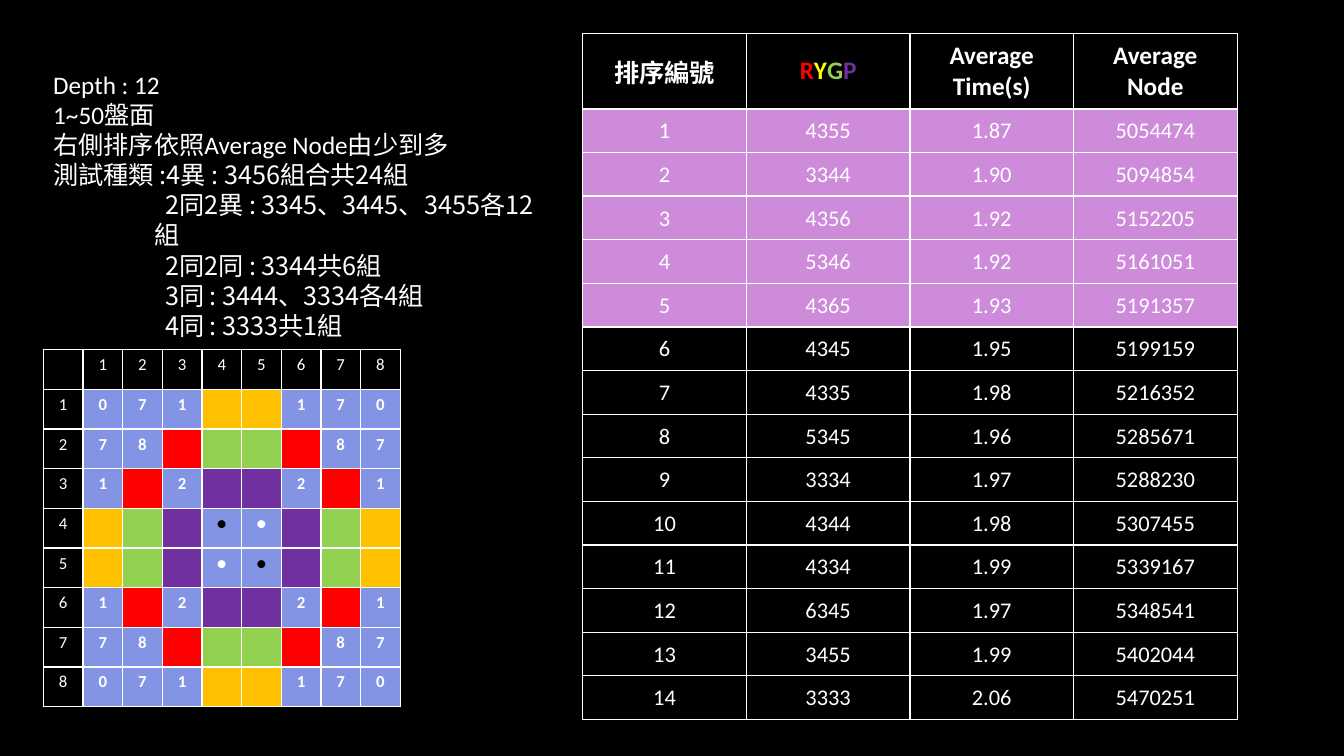
from lxml.etree import SubElement
from pptx import Presentation
from pptx.dml.color import RGBColor
from pptx.enum.text import MSO_ANCHOR, MSO_AUTO_SIZE, PP_ALIGN
from pptx.oxml.ns import qn
from pptx.util import Inches, Pt

BLACK = RGBColor(0, 0, 0)
WHITE = RGBColor(255, 255, 255)
RED = RGBColor(255, 0, 0)
YELLOW = RGBColor(255, 255, 0)
AMBER = RGBColor(0xFF, 0xC0, 0x00)
GREEN = RGBColor(0x92, 0xD0, 0x50)
PURPLE = RGBColor(0x70, 0x30, 0xA0)
BLUE = RGBColor(0x83, 0x94, 0xE4)
PINK = RGBColor(0xCD, 0x8B, 0xDA)

LATIN = "Calibri"
HAN = "Noto Sans CJK TC"

# Upper left quarter of the board; letters are zones, B a disc
QUARTER = ["071Y", "78RG", "1R2P", "YGPB"]
ZONES = {"Y": AMBER, "R": RED, "G": GREEN, "P": PURPLE}

HEADS = [
    [[("排序編號", WHITE)]],
    [[("R", RED), ("Y", YELLOW), ("G", GREEN), ("P", PURPLE)]],
    [[("Average", WHITE)], [("Time(s)", WHITE)]],
    [[("Average", WHITE)], [("Node", WHITE)]],
]
STATS = [
    ("4355", "1.87", "5054474"), ("3344", "1.90", "5094854"),
    ("4356", "1.92", "5152205"), ("5346", "1.92", "5161051"),
    ("4365", "1.93", "5191357"), ("4345", "1.95", "5199159"),
    ("4335", "1.98", "5216352"), ("5345", "1.96", "5285671"),
    ("3334", "1.97", "5288230"), ("4344", "1.98", "5307455"),
    ("4334", "1.99", "5339167"), ("6345", "1.97", "5348541"),
    ("3455", "1.99", "5402044"), ("3333", "2.06", "5470251"),
]
BEST = 5

NOTES = [
    "Depth : 12",
    "1~50盤面",
    "右側排序依照Average Node由少到多",
    "測試種類 :4異 : 3456組合共24組",
]
KINDS = [
    "2同2異 : 3345、3445、3455各12組",
    "2同2同 : 3344共6組",
    "3同 : 3444、3334各4組",
    "4同 : 3333共1組",
]


def apply(item, values):
    for name, value in values.items():
        setattr(item, name, value)


def add_run(para, text, size, color=WHITE, bold=False, face=LATIN):
    run = para.add_run()
    run.text = text
    apply(run.font, {"size": Pt(size), "bold": bold, "name": face})
    run.font.color.rgb = color
    SubElement(run.font._element, qn("a:ea"), typeface=HAN)


def add_grid(slide, rows, cols, left, top, width, height):
    frame = slide.shapes.add_table(rows, cols, Inches(left), Inches(top),
                                   Inches(width), Inches(height))
    apply(frame.table, {"first_row": False, "horz_banding": False})
    return frame.table


def draw_edge(cell, side, points):
    line = SubElement(cell._tc.get_or_add_tcPr(), qn("a:ln" + side),
                      w=str(Pt(points)))
    fill = SubElement(line, qn("a:solidFill"))
    SubElement(fill, qn("a:srgbClr"), val=str(WHITE))


def fill_cell(cell, lines, size, bold=False, fill=None, base=1, **values):
    """Each line is a list of (text, colour) pairs."""
    for side in "LRTB":
        draw_edge(cell, side, base if side == "B" else 1)
    if fill is None:
        cell.fill.background()
    else:
        cell.fill.solid()
        cell.fill.fore_color.rgb = fill
    apply(cell, values)
    frame = cell.text_frame
    for i, line in enumerate(lines):
        para = frame.add_paragraph() if i else frame.paragraphs[0]
        para.alignment = PP_ALIGN.CENTER
        for text, color in line:
            add_run(para, text, size, color, bold)
    if not lines:
        # Keeps an empty cell from growing its row
        end = frame.paragraphs[0]._p.get_or_add_endParaRPr()
        end.set("sz", str(size * 100))


def add_board(slide):
    grid = add_grid(slide, 9, 9, 0.43, 3.47, 3.54, 3.54)
    half = [row + row[::-1] for row in QUARTER]
    board = half + half[::-1]
    fill_cell(grid.cell(0, 0), [], 12)
    for i in range(1, 9):
        for spot in (grid.cell(0, i), grid.cell(i, 0)):
            fill_cell(spot, [[(str(i), WHITE)]], 12)
        for j, mark in enumerate(board[i - 1], 1):
            color = WHITE
            if mark == "B":
                mark = "●"
                color = BLACK if i == j else WHITE
            lines = [] if mark in ZONES else [[(mark, color)]]
            fill_cell(grid.cell(i, j), lines, 12, True, ZONES.get(mark, BLUE))


def add_stats(slide):
    grid = add_grid(slide, len(STATS) + 1, 4, 5.78, 0.33, 6.49, 6.81)
    grid.rows[0].height = Inches(0.75)
    for j, lines in enumerate(HEADS):
        fill_cell(grid.cell(0, j), lines, 18, True, base=2,
                  vertical_anchor=MSO_ANCHOR.MIDDLE)
    thin = Inches(0.01)
    form = {"vertical_anchor": MSO_ANCHOR.MIDDLE, "margin_left": thin,
            "margin_top": thin, "margin_right": thin, "margin_bottom": 0}
    for i, row in enumerate(STATS, 1):
        grid.rows[i].height = Inches((6.81 - 0.75) / len(STATS))
        for j, text in enumerate((str(i), *row)):
            fill_cell(grid.cell(i, j), [[(text, WHITE)]], 16,
                      fill=PINK if i <= BEST else None, **form)


def add_notes(slide):
    box = slide.shapes.add_textbox(Inches(0.43), Inches(0.64),
                                   Inches(5.2), Inches(2.52))
    frame = box.text_frame
    apply(frame, {"word_wrap": True,
                  "auto_size": MSO_AUTO_SIZE.SHAPE_TO_FIT_TEXT})
    for i, text in enumerate(NOTES + KINDS):
        para = frame.add_paragraph() if i else frame.paragraphs[0]
        para.line_spacing = Pt(21.5)
        add_run(para, text, 18, face=LATIN if i < 3 else HAN)
        if text in KINDS:
            para.level = 2
            props = para._p.get_or_add_pPr()
            props.set("marL", str(Inches(1)))
            props.set("indent", str(Inches(0.11)))


def main():
    deck = Presentation()
    apply(deck, {"slide_width": Inches(13.33), "slide_height": Inches(7.5)})
    slide = deck.slides.add_slide(deck.slide_layouts[6])
    slide.background.fill.solid()
    slide.background.fill.fore_color.rgb = BLACK
    add_board(slide)
    add_stats(slide)
    add_notes(slide)
    deck.save("out.pptx")


main()
